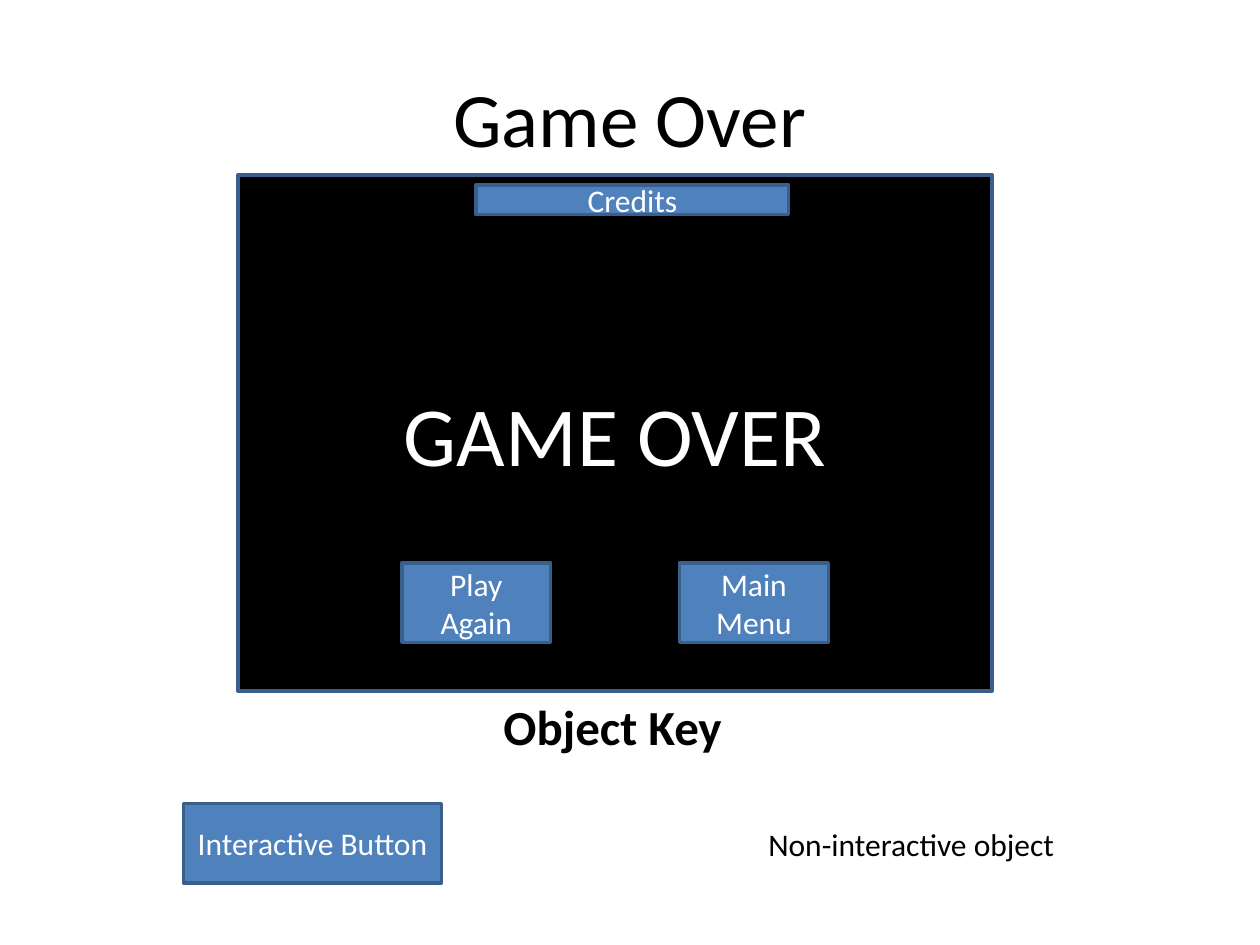
"""Build the game over screen mock-up with its object key."""
import pptx
import pptx.dml.color
import pptx.enum.shapes
import pptx.enum.text
import pptx.util

Cm = pptx.util.Cm
FONT = "Calibri"
BLACK, WHITE = "000000", "FFFFFF"
BUTTON_FILL, OUTLINE = "4F81BD", "3A5F8C"
LEFT = pptx.enum.text.PP_ALIGN.LEFT
CENTER = pptx.enum.text.PP_ALIGN.CENTER
TOP = pptx.enum.text.MSO_ANCHOR.TOP
MIDDLE = pptx.enum.text.MSO_ANCHOR.MIDDLE


def color(hex_string):
    return pptx.dml.color.RGBColor.from_string(hex_string)


def write_text(shape, text, size, text_color, align, anchor, bold=False):
    frame = shape.text_frame
    frame.word_wrap = True
    frame.vertical_anchor = anchor
    paragraph = frame.paragraphs[0]
    paragraph.text = text
    paragraph.alignment = align
    paragraph.font.name = FONT
    paragraph.font.size = pptx.util.Pt(size)
    paragraph.font.bold = bold
    paragraph.font.color.rgb = color(text_color)


def add_box(slide, text, left, top, width, height, fill=BUTTON_FILL, size=18):
    shape = slide.shapes.add_shape(
        pptx.enum.shapes.MSO_SHAPE.RECTANGLE,
        Cm(left), Cm(top), Cm(width), Cm(height))
    shape.shadow.inherit = False
    shape.fill.solid()
    shape.fill.fore_color.rgb = color(fill)
    shape.line.color.rgb = color(OUTLINE)
    shape.line.width = pptx.util.Pt(2)
    write_text(shape, text, size, WHITE, CENTER, MIDDLE)


def add_label(slide, text, left, top, width, height, size,
              align=LEFT, anchor=TOP, bold=False):
    shape = slide.shapes.add_textbox(Cm(left), Cm(top), Cm(width), Cm(height))
    write_text(shape, text, size, BLACK, align, anchor, bold)


def add_game_screen(slide):
    add_box(slide, "GAME OVER", 4.8, 3.53, 15.2, 10.4, fill=BLACK, size=48)
    for index, text in enumerate(("Play Again", "Main Menu")):
        add_box(slide, text, 8.1 + 5.6 * index, 11.35, 3, 1.6)
    add_box(slide, "Credits", 9.6, 3.73, 6.3, 0.6)


def add_object_key(slide):
    add_label(slide, "Object Key", 9.9, 13.92, 6.2, 1.45, 28, bold=True)
    add_box(slide, "Interactive Button", 3.7, 16.2, 5.2, 1.6)
    add_label(slide, "Non-interactive object", 15.24, 16.5, 6.4, 1.03, 18)


def main():
    presentation = pptx.Presentation()
    presentation.slide_width = Cm(25.4)
    presentation.slide_height = Cm(19.05)
    slide = presentation.slides.add_slide(presentation.slide_layouts[6])
    add_label(slide, "Game Over", 1.27, 0.76, 22.86, 3.18, 44, CENTER, MIDDLE)
    add_game_screen(slide)
    add_object_key(slide)
    presentation.save("out.pptx")


main()
